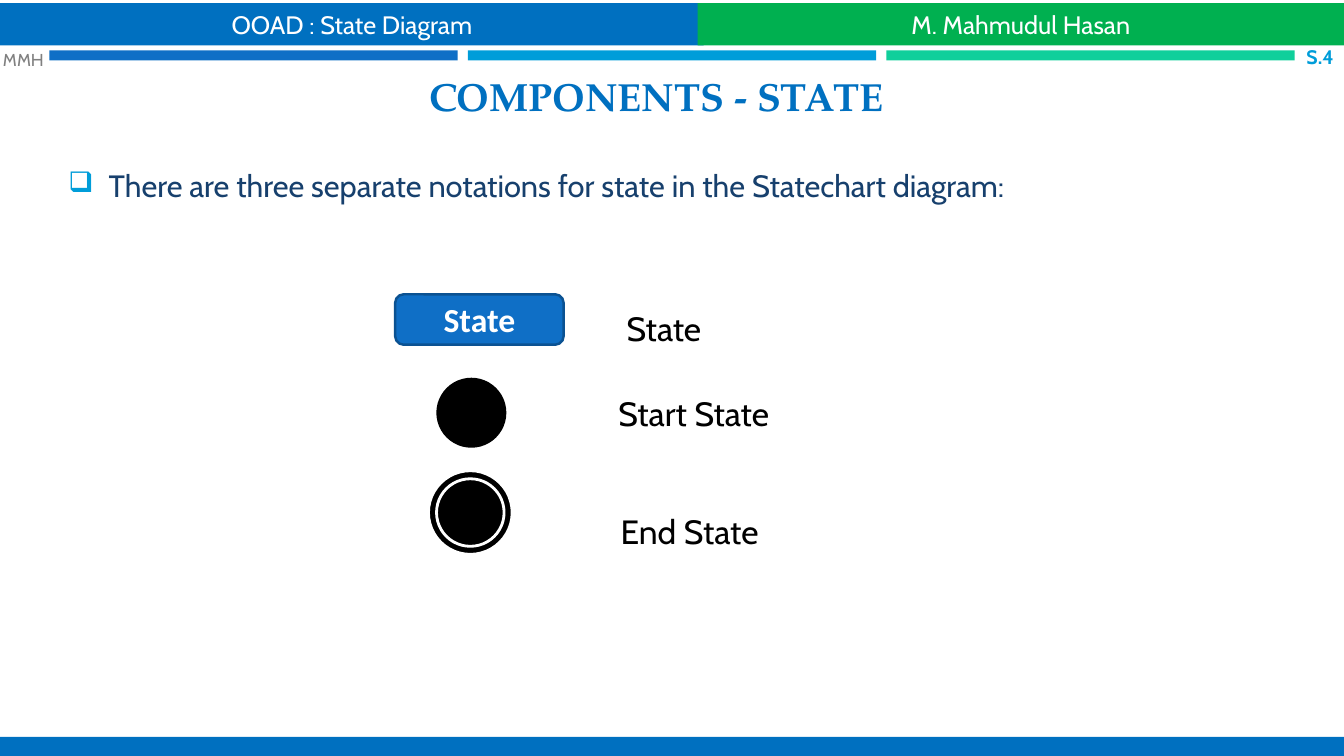
from lxml import etree
from pptx import Presentation
from pptx.dml.color import RGBColor
from pptx.enum.shapes import MSO_SHAPE
from pptx.enum.text import MSO_ANCHOR, PP_ALIGN
from pptx.oxml.ns import qn
from pptx.util import Inches, Pt

RECTANGLE, ROUNDED, OVAL = MSO_SHAPE.RECTANGLE, MSO_SHAPE.ROUNDED_RECTANGLE, MSO_SHAPE.OVAL
LEFT, CENTER, RIGHT = PP_ALIGN.LEFT, PP_ALIGN.CENTER, PP_ALIGN.RIGHT
TOP, MIDDLE, BOTTOM = MSO_ANCHOR.TOP, MSO_ANCHOR.MIDDLE, MSO_ANCHOR.BOTTOM
BLUE, SKY, BLACK, WHITE = "0070C0", "009DD9", "000000", "FFFFFF"

presentation = Presentation()
presentation.slide_width = Inches(13.33)
presentation.slide_height = Inches(7.5)
slide = presentation.slides.add_slide(presentation.slide_layouts[6])


def add_box(kind, left, top, width, height, fill, line=None, line_width=1.75):
    shape = slide.shapes.add_shape(kind, Inches(left), Inches(top), Inches(width), Inches(height))
    shape.shadow.inherit = False
    shape.fill.solid()
    shape.fill.fore_color.rgb = RGBColor.from_string(fill)
    if line:
        shape.line.color.rgb = RGBColor.from_string(line)
        shape.line.width = Pt(line_width)
    else:
        shape.line.fill.background()
    return shape


def write(text, place=None, shape=None, size=18, color=WHITE, font="Cabin", bold=False,
          align=CENTER, anchor=MIDDLE, margin=0.1, wrap=True, bullet=None):
    """Write text into a shape, or into a new text box at place."""
    if shape is None:
        shape = slide.shapes.add_textbox(*[Inches(length) for length in place])
    frame = shape.text_frame
    frame.word_wrap = wrap
    frame.vertical_anchor = anchor
    frame.margin_left = frame.margin_right = Inches(margin)
    paragraph = frame.paragraphs[0]
    paragraph.alignment = align
    if bullet:
        properties = paragraph._p.get_or_add_pPr()
        properties.set("marL", str(Inches(0.4)))
        properties.set("indent", str(-Inches(0.4)))
        bullet_color = etree.SubElement(properties, qn("a:buClr"))
        etree.SubElement(bullet_color, qn("a:srgbClr"), val=SKY)
        etree.SubElement(properties, qn("a:buSzPct"), val="92000")
        etree.SubElement(properties, qn("a:buChar"), char=bullet)
    run = paragraph.add_run()
    run.text = text
    run.font.name = font
    run.font.size = Pt(size)
    run.font.bold = bold
    run.font.color.rgb = RGBColor.from_string(color)


# Header stripes
for column, color in enumerate(["0F6FC6", SKY, "10CF9B"]):
    add_box(RECTANGLE, 0.49 + column * 4.15, 0.5, 4.05, 0.1, color)

# Header bands and footer band
for text, left, width, color in [
    ("OOAD : State Diagram", 0, 6.98, BLUE),
    ("M. Mahmudul Hasan", 6.92, 6.41, "00B050"),
]:
    write(text, shape=add_box(RECTANGLE, left, 0.03, width, 0.42, color))
add_box(RECTANGLE, 0, 7.31, 13.33, 0.19, BLUE)

# Initials and slide number
write("MMH", (0.03, 0.44, 0.5, 0.3), size=12.3, color="808080", align=LEFT, margin=0, wrap=False)
write("S.4", (12.83, 0.41, 0.4, 0.3), size=14, color=SKY, bold=True, align=RIGHT, margin=0, wrap=False)

# Title and lead sentence
write("COMPONENTS - STATE", (0.48, 0.64, 12.06, 0.59), size=28, color=BLUE,
      font="TeX Gyre Pagella", bold=True, anchor=BOTTOM)
write("There are three separate notations for state in the Statechart diagram:",
      (0.58, 1.41, 12.27, 0.86), size=22, color="17406D", align=LEFT, bullet="❑")

# State symbols
state_box = add_box(ROUNDED, 3.92, 2.92, 1.67, 0.5, "0F6FC6", "0B5292")
write("State", shape=state_box, size=24, font="Calibri", bold=True, wrap=False)
add_box(OVAL, 4.34, 3.76, 0.67, 0.67, BLACK, BLACK)
for left, top, diameter in [(4.25, 4.67, 0.83), (4.33, 4.75, 0.67)]:
    add_box(OVAL, left, top, diameter, diameter, BLACK, WHITE, 2)

# Symbol labels
for text, left, top, width in [
    ("State", 6, 3.01, 1.17),
    ("Start State", 5.92, 3.85, 1.92),
    ("End State", 5.84, 5.02, 2),
]:
    write(text, (left, top, width, 0.5), size=24, color=BLACK, anchor=TOP)

presentation.save("out.pptx")
